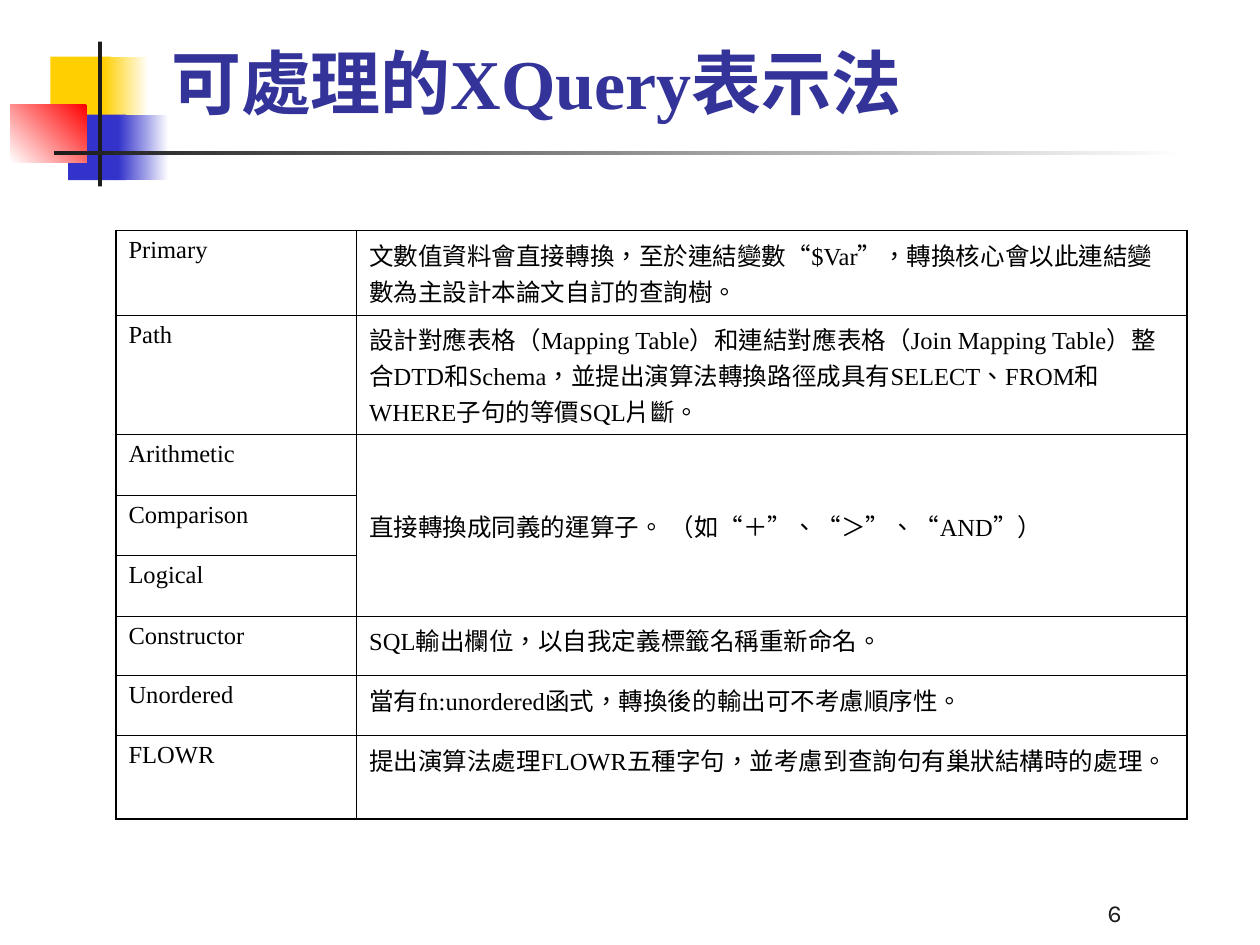
from dataclasses import dataclass
from itertools import groupby

from lxml import etree
from pptx import Presentation
from pptx import util as u
from pptx.dml.color import RGBColor
from pptx.enum import shapes, text
from pptx.oxml import ns


@dataclass(frozen=True)
class Theme:
    yellow: str = "FFCF01"
    blue: str = "3333CC"
    red: str = "FF0000"
    white: str = "FFFFFF"
    dark: str = "1C1C1C"
    title: str = "333399"
    ink: str = "000000"
    latin: str = "Times New Roman"
    cjk: str = "Noto Sans CJK SC"
    number: str = "Karla"
    language: str = "zh-TW"
    title_size: int = 40
    body_size: int = 14
    outer_line: float = 1.08
    inner_line: float = 0.45


THEME = Theme()

# Expression, its handling, and an ending set in the Latin font
EXPRESSIONS = [
    ("Primary", "文數值資料會直接轉換，至於連結變數“$Var”，轉換核心會以此連結變數為主設計本論文自訂的查詢樹。", ""),
    ("Path", "設計對應表格（Mapping Table）和連結對應表格（Join Mapping Table）整合DTD和Schema，"
             "並提出演算法轉換路徑成具有SELECT、FROM和WHERE子句的等價SQL片斷。", ""),
    ("Arithmetic", "直接轉換成同義的運算子。", " （如“＋”、“＞”、“AND”）"),
    ("Comparison", "", ""),
    ("Logical", "", ""),
    ("Constructor", "SQL輸出欄位，以自我定義標籤名稱重新命名。", ""),
    ("Unordered", "當有fn:unordered函式，轉換後的輸出可不考慮順序性。", ""),
    ("FLOWR", "提出演算法處理FLOWR五種字句，並考慮到查詢句有巢狀結構時的處理。", ""),
]
ROW_HEIGHTS = [0.67, 0.95, 0.48, 0.48, 0.48, 0.47, 0.48, 0.66]
LABEL_WIDTH = 1.91
OPERATOR_ROWS = (2, 4)


def rgb(color):
    return RGBColor.from_string(color)


def add_run(paragraph, words, font_name):
    run = paragraph.add_run()
    run.text = words
    run.font.name = font_name
    properties = run.font._element
    # Traditional Chinese centres its punctuation marks
    properties.set("lang", THEME.language)
    east_asian = etree.SubElement(properties, ns.qn("a:ea"))
    east_asian.set("typeface", THEME.cjk)


def style(paragraph, size, color):
    paragraph.font.size = u.Pt(size)
    paragraph.font.color.rgb = rgb(color)


def add_block(slide, left, top, width, height, start, end=None, angle=0):
    """Draw a borderless block, plain or fading from start to end."""
    block = slide.shapes.add_shape(shapes.MSO_SHAPE.RECTANGLE, *map(u.Inches, (left, top, width, height)))
    block.shadow.inherit = False
    block.line.fill.background()
    if end is None:
        block.fill.solid()
        block.fill.fore_color.rgb = rgb(start)
        return
    block.fill.gradient()
    block.fill.gradient_angle = angle
    for stop, color in zip(block.fill.gradient_stops, (start, end)):
        stop.color.rgb = rgb(color)


def add_text_box(slide, left, top, width, height):
    frame = slide.shapes.add_textbox(*map(u.Inches, (left, top, width, height))).text_frame
    frame.word_wrap = True
    frame.vertical_anchor = text.MSO_ANCHOR.BOTTOM
    return frame.paragraphs[0]


def add_ornament(slide, left, top):
    """Coloured blocks with a crossing bar and a fading rule."""
    t = THEME
    for dx, dy, width, height, *colors in (
        (0.32, 0.12, 0.48, 0.52, t.yellow),
        (0.74, 0.12, 0.36, 0.52, t.white, t.yellow, 180),
        (0.46, 0.58, 0.46, 0.52, t.blue),
        (0.86, 0.58, 0.4, 0.52, t.white, t.blue, 180),
        (0, 0.5, 0.61, 0.46, t.red, t.white, 225),
        (0.7, 0, 0.03, 1.15, t.dark),
        (0.35, 0.87, 9, 0.03, t.white, t.dark, 180),
    ):
        add_block(slide, left + dx, top + dy, width, height, *colors)


def add_title(slide, left, top, width, height):
    title = add_text_box(slide, left, top, width, height)
    add_run(title, "可處理的XQuery表示法", THEME.latin)
    style(title, THEME.title_size, THEME.title)
    title.font.bold = True


def set_borders(cell, at_edge):
    """Line the left, right, top and bottom sides; outer sides are heavier."""
    properties = cell._tc.get_or_add_tcPr()
    for position, (side, outer) in enumerate(zip("LRTB", at_edge)):
        width = u.Pt(THEME.outer_line if outer else THEME.inner_line)
        line = etree.Element(ns.qn(f"a:ln{side}"), w=str(int(width)))
        fill = etree.SubElement(line, ns.qn("a:solidFill"))
        etree.SubElement(fill, ns.qn("a:srgbClr"), val=THEME.ink)
        properties.insert(position, line)


def write_cell(cell, words, latin_ending=""):
    paragraph = cell.text_frame.paragraphs[0]
    for is_latin, characters in groupby(words, str.isascii):
        add_run(paragraph, "".join(characters), THEME.latin if is_latin else THEME.cjk)
    if latin_ending:
        add_run(paragraph, latin_ending, THEME.latin)
    style(paragraph, THEME.body_size, THEME.ink)


def add_expression_table(slide, left, top, width):
    last = len(EXPRESSIONS) - 1
    table = slide.shapes.add_table(
        len(EXPRESSIONS), 2, *map(u.Inches, (left, top, width, sum(ROW_HEIGHTS)))).table
    table.first_row = table.horz_banding = False
    for column, column_width in zip(table.columns, (LABEL_WIDTH, width - LABEL_WIDTH)):
        column.width = u.Inches(column_width)

    for index, (label, handling, ending) in enumerate(EXPRESSIONS):
        table.rows[index].height = u.Inches(ROW_HEIGHTS[index])
        label_cell, handling_cell = table.cell(index, 0), table.cell(index, 1)
        write_cell(label_cell, label)
        write_cell(handling_cell, handling, ending)
        for column, cell in enumerate((label_cell, handling_cell)):
            cell.fill.background()
            set_borders(cell, (column == 0, column == 1, index == 0, index == last))

    # The three operator kinds share one handling
    first_operator, last_operator = OPERATOR_ROWS
    shared = table.cell(first_operator, 1)
    shared.merge(table.cell(last_operator, 1))
    shared.vertical_anchor = text.MSO_ANCHOR.MIDDLE


def add_page_number(slide, left, top, width, height):
    number = add_text_box(slide, left, top, width, height)
    number.text = "6"
    number.alignment = text.PP_ALIGN.RIGHT
    style(number, THEME.body_size, THEME.dark)
    number.font.name = THEME.number


def main():
    deck = Presentation()
    deck.slide_width, deck.slide_height = u.Inches(10), u.Inches(7.5)
    slide = deck.slides.add_slide(deck.slide_layouts[6])
    add_ornament(slide, 0.08, 0.33)
    add_title(slide, 1.26, 0.17, 8.52, 0.86)
    add_expression_table(slide, 0.92, 1.83, 8.5)
    add_page_number(slide, 6.92, 6.91, 2.08, 0.5)
    deck.save("out.pptx")


if __name__ == "__main__":
    main()
